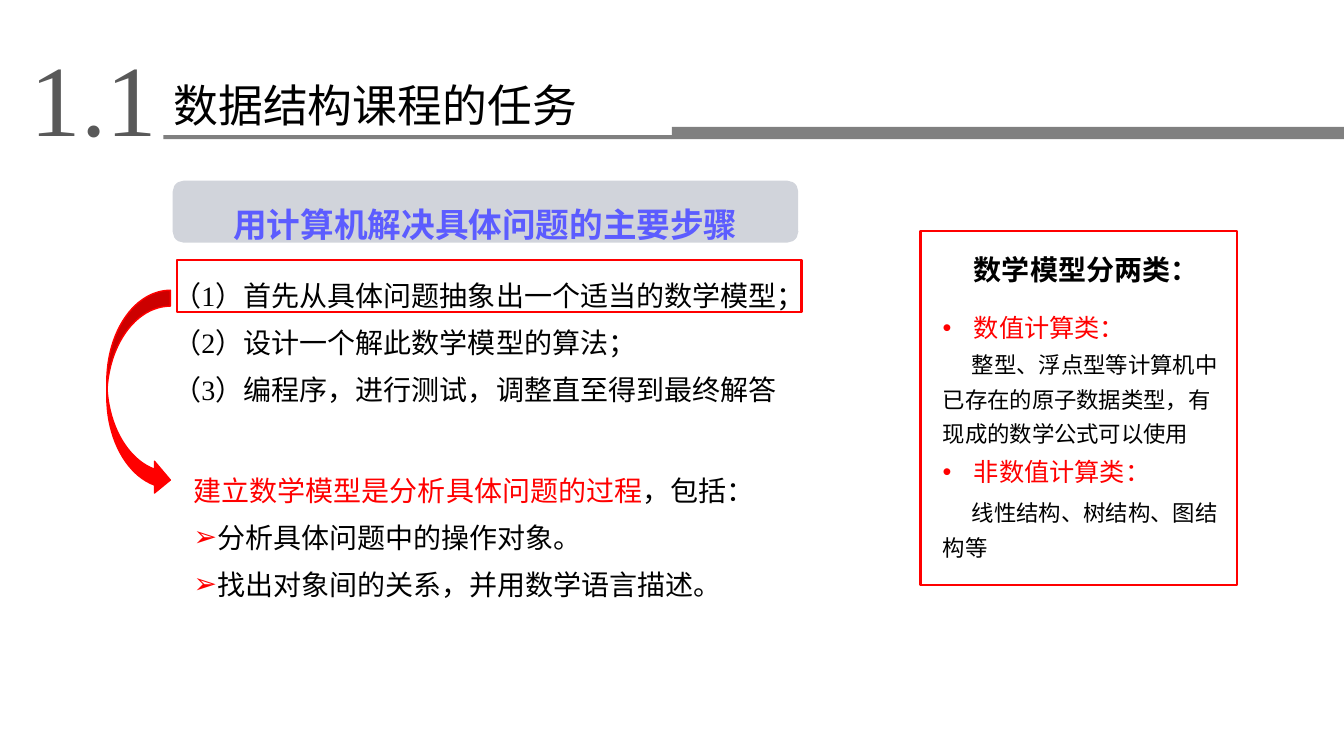
from pptx import Presentation
from pptx.dml.color import RGBColor
from pptx.enum.shapes import MSO_SHAPE
from pptx.enum.text import MSO_ANCHOR, MSO_AUTO_SIZE, PP_ALIGN
from pptx.oxml.ns import qn
from pptx.util import Inches, Pt
from lxml import etree

RECT = MSO_SHAPE.RECTANGLE
ROUNDED = MSO_SHAPE.ROUNDED_RECTANGLE
CURVED_ARROW = MSO_SHAPE.CURVED_RIGHT_ARROW
TOP = MSO_ANCHOR.TOP
NO_FIT = MSO_AUTO_SIZE.NONE
LEFT, CENTER = PP_ALIGN.LEFT, PP_ALIGN.CENTER

COMPARISON_LAYOUT = 4
FONT = "Times New Roman"
BLACK, RED, GRAY = "000000", "FF0000", "808080"
DARK_GRAY, PANEL, VIOLET = "595959", "D1D4DB", "5C5CFF"


def color(value):
    return RGBColor.from_string(value)


def place(shape, box):
    shape.left, shape.top, shape.width, shape.height = map(Inches, box)


def add_block(page, kind, box, fill=None, line=None, weight=1):
    shape = page.shapes.add_shape(kind, *map(Inches, box))
    shape.shadow.inherit = False
    if fill:
        shape.fill.solid()
        shape.fill.fore_color.rgb = color(fill)
    else:
        shape.fill.background()
    if line:
        shape.line.color.rgb = color(line)
        shape.line.width = Pt(weight)
    else:
        shape.line.fill.background()
    return shape


def set_bullet(para, bullet, margin, indent):
    props = para._p.get_or_add_pPr()
    props.set("marL", str(Inches(margin)))
    props.set("indent", str(Inches(indent)))
    if bullet:
        bullet_color = etree.SubElement(props, qn("a:buClr"))
        etree.SubElement(bullet_color, qn("a:srgbClr"), val=RED)
        etree.SubElement(props, qn("a:buChar"), char=bullet)
    else:
        etree.SubElement(props, qn("a:buNone"))


def write(shape, paragraphs, spacing=1.0, align=LEFT):
    """Each paragraph is a dict: text or spans, and its formatting."""
    frame = shape.text_frame
    frame.word_wrap = True
    frame.auto_size = NO_FIT
    frame.vertical_anchor = TOP
    for index, item in enumerate(paragraphs):
        para = frame.paragraphs[0] if index == 0 else frame.add_paragraph()
        para.alignment = align
        para.line_spacing = spacing
        para.space_before = Pt(item.get("before", 0))
        set_bullet(para, item.get("bullet"), item.get("margin", 0), item.get("indent", 0))
        para.font.name = FONT
        para.font.size = Pt(item.get("size", 20))
        para.font.bold = item.get("bold", False)
        spans = item.get("spans")
        if spans:
            for text, span_color in spans:
                span = para.add_run()
                span.text = text
                span.font.color.rgb = color(span_color)
        else:
            para.add_run().text = item["text"]
            para.font.color.rgb = color(item.get("color", BLACK))


def add_header(page, box):
    left, top, width, height = box
    number = page.shapes.add_textbox(*map(Inches, (left + 0.04, top, 1.78, 1.31)))
    write(number, [dict(text="1.1", size=72, color=DARK_GRAY)], align=CENTER)
    # Thin rule under the title, thick rule to the slide edge
    middle, bottom = left + width / 2, top + height
    add_block(page, RECT, (middle, bottom - 0.12, width / 2, 0.12), GRAY)
    add_block(page, RECT, (left + 1.62, bottom - 0.04, middle - left - 1.62, 0.04), GRAY)
    title = page.shapes.title
    place(title, (left + 1.62, top + 0.41, 4.39, 0.64))
    write(title, [dict(text="数据结构课程的任务", size=32)])


def add_steps(page, box, steps, process):
    left, top, width, height = box
    # Heading
    heading = add_block(page, ROUNDED, (left, top, width, 0.6), PANEL, PANEL)
    heading.text_frame.margin_top = Inches(0.07)
    write(heading, [dict(text="用计算机解决具体问题的主要步骤", size=24,
                         color=VIOLET, bold=True)], 1.3, CENTER)
    # Numbered steps, the first one framed
    place(steps, (left - 0.1, top + 0.78, 6.77, 1.46))
    write(steps, [
        dict(text="（1）首先从具体问题抽象出一个适当的数学模型；"),
        dict(text="（2）设计一个解此数学模型的算法；"),
        dict(text="（3）编程序，进行测试，调整直至得到最终解答"),
    ], 1.4)
    add_block(page, RECT, (left + 0.04, top + 0.78, width, 0.52), line=RED, weight=1.5)
    # Explanation of the first step
    place(process, (left + 0.1, top + height - 1.46, 5.79, 1.46))
    write(process, [
        dict(spans=[("建立数学模型是分析具体问题的过程", RED), ("，包括：", BLACK)]),
        dict(text="分析具体问题中的操作对象。", bullet="➢"),
        dict(text="找出对象间的关系，并用数学语言描述。", bullet="➢"),
    ], 1.4)
    add_block(page, CURVED_ARROW, (left - 0.66, top + 1.08, 0.63, 2.04), RED, RED)


def add_model_types(page, box, heading, types):
    left, top, width, height = box
    place(heading, (left + 0.43, top + 0.06, width - 0.43, 0.5))
    write(heading, [dict(text="数学模型分两类：", bold=True)], 1.3)
    place(types, (left + 0.12, top + 0.67, 2.93, 3.29))
    category = dict(size=18, color=RED, bullet="•", margin=0.31, indent=-0.31)
    detail = dict(size=16, indent=0.29)
    write(types, [
        dict(category, text="数值计算类："),
        dict(detail, text="整型、浮点型等计算机中已存在的原子数据类型，有现成的数学公式可以使用"),
        dict(category, text="非数值计算类："),
        dict(detail, text="线性结构、树结构、图结构等", before=3),
    ], 1.3)
    add_block(page, RECT, box, line=RED, weight=1.5)


def main():
    deck = Presentation()
    deck.slide_width, deck.slide_height = Inches(13.33), Inches(7.5)
    page = deck.slides.add_slide(deck.slide_layouts[COMPARISON_LAYOUT])
    bodies = {body.placeholder_format.idx: body for body in page.placeholders}
    add_header(page, (0, 0.31, 13.33, 1.07))
    add_steps(page, (1.72, 1.8, 6.19, 4.17), bodies[1], bodies[2])
    add_model_types(page, (9.13, 2.29, 3.14, 3.51), bodies[3], bodies[4])
    deck.save("out.pptx")


if __name__ == "__main__":
    main()
